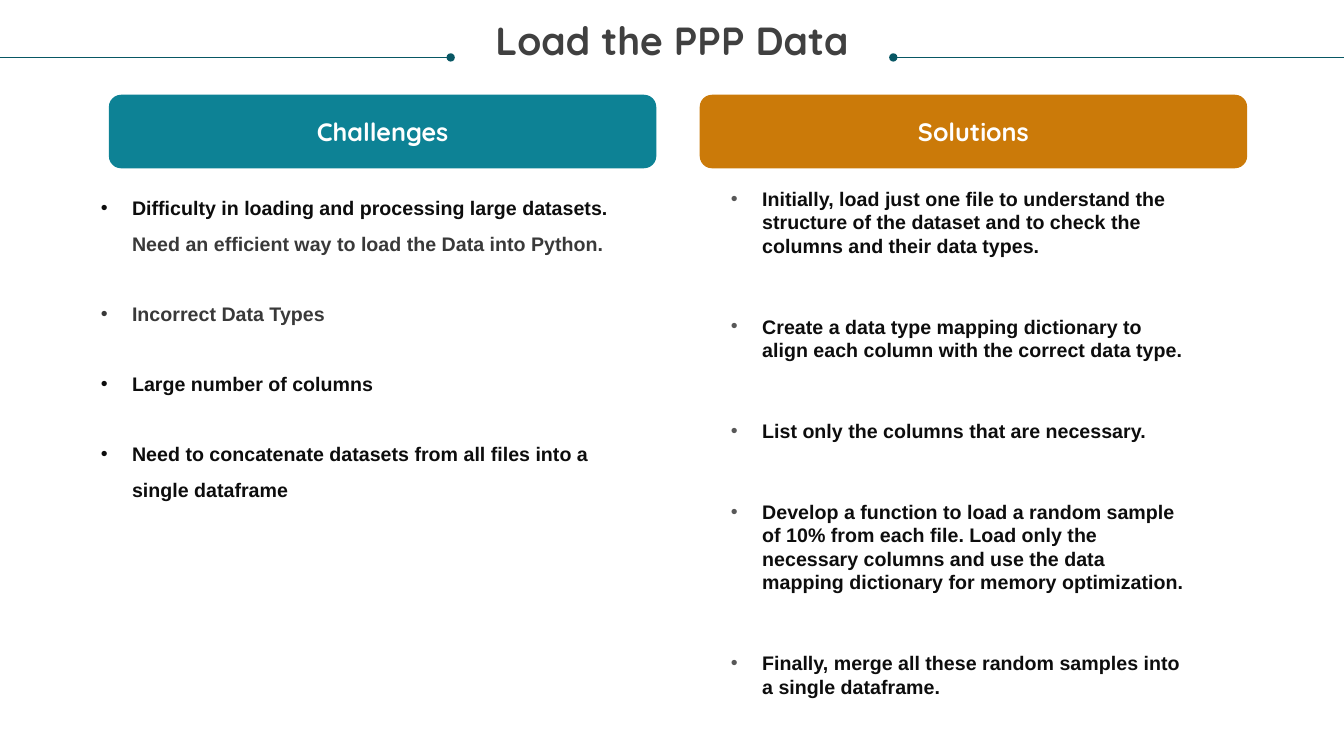
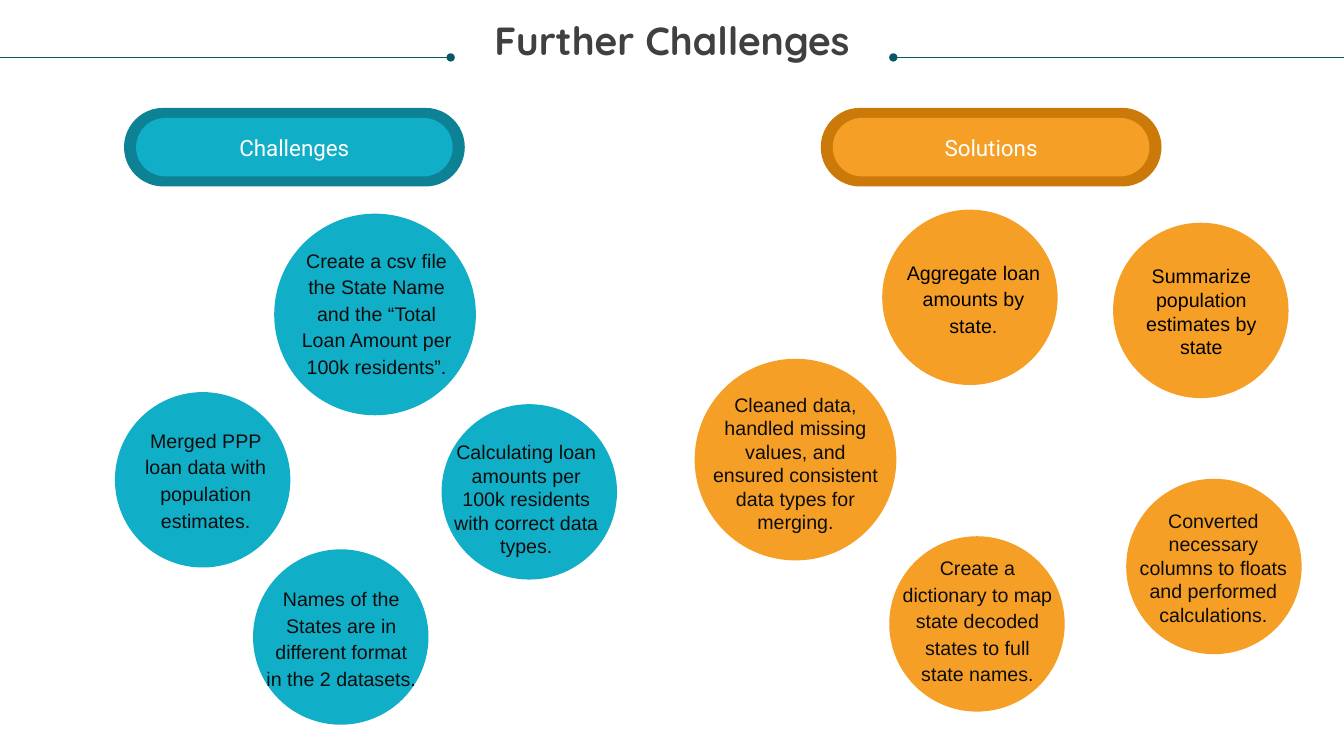
import pptx
import pptx.util
import pptx.dml.color
import pptx.enum.shapes
import pptx.enum.text
import pptx.oxml.ns
import lxml.etree

RGBColor = pptx.dml.color.RGBColor
Shape = pptx.enum.shapes.MSO_SHAPE
Anchor = pptx.enum.text.MSO_ANCHOR
Align = pptx.enum.text.PP_ALIGN
Pt = pptx.util.Pt
qn = pptx.oxml.ns.qn

PX_PER_INCH = 100
SLIDE_WIDTH, SLIDE_HEIGHT = 1333, 750

TEAL = RGBColor(0x11, 0xAE, 0xC7)
DARK_TEAL = RGBColor(0x0D, 0x82, 0x95)
ORANGE = RGBColor(0xF5, 0x9F, 0x26)
DARK_ORANGE = RGBColor(0xCB, 0x7A, 0x09)
RULE_COLOUR = RGBColor(0x08, 0x57, 0x64)
TITLE_GREY = RGBColor(0x40, 0x40, 0x40)
TEXT_GREY = RGBColor(0x39, 0x39, 0x39)
BULLET_GREY = RGBColor(0x58, 0x58, 0x58)
INK = RGBColor(0x0D, 0x0D, 0x0D)
BLACK = RGBColor(0, 0, 0)
WHITE = RGBColor(0xFF, 0xFF, 0xFF)

TITLE_AREA = (25, 21, 1283, 73)
RULE_Y = 57
RULES = [(447, 0), (886, SLIDE_WIDTH)]

HEADERS = [("Challenges", 108, DARK_TEAL), ("Solutions", 694, DARK_ORANGE)]

CHALLENGES = [
    [("Difficulty in loading and processing large datasets.", INK),
     (" Need an efficient way to load the Data into Python.", TEXT_GREY)],
    [("Incorrect Data Types", TEXT_GREY)],
    [("Large number of columns", INK)],
    [("Need to concatenate datasets from all files into a single dataframe", INK)],
]
SOLUTIONS = [
    [("Initially, load just one file to understand the structure of the dataset "
      "and to check the columns and their data types.", INK)],
    [("Create a data type mapping dictionary to align each column with the "
      "correct data type.", INK)],
    [("List only the columns that are necessary.", INK)],
    [("Develop a function to load a random sample of 10% from each file. Load only "
      "the necessary columns and use the data mapping dictionary for memory "
      "optimization.", INK)],
    [("Finally, merge all these random samples into a single dataframe.", INK)],
]
BULLET_LISTS = [
    dict(items=CHALLENGES, area=(100, 183, 508, 349), spacing=1.5, gap=25,
         bullet_colour=None),
    dict(items=SOLUTIONS, area=(725, 185, 455, 520), spacing=1.0, gap=41,
         bullet_colour=BULLET_GREY),
]

PILLS = [("Challenges", 123, DARK_TEAL, TEAL), ("Solutions", 814, DARK_ORANGE, ORANGE)]
PILL_TOP, PILL_WIDTH, PILL_HEIGHT = 107, 338, 78
PILL_RIM_X, PILL_RIM_Y = 12, 10

LARGE, SMALL = 200, 174
LOOSE, SINGLE = Pt(19), 1.0
BUBBLES = [
    ("Create a csv file the State Name and the “Total Loan Amount per 100k residents”.",
     TEAL, (272, 212, LARGE), (299, 244, 149, 131), LOOSE, INK),
    ("Merged PPP loan data with population estimates.",
     TEAL, (114, 389, SMALL), (129, 423, 150, 104), LOOSE, INK),
    ("Calculating loan amounts per 100k residents with correct data types.",
     TEAL, (438, 401, SMALL), (447, 436, 150, 118), SINGLE, INK),
    ("Names of the States are in different format in the 2 datasets.",
     TEAL, (251, 545, SMALL), (264, 580, 149, 104), LOOSE, INK),
    ("Aggregate loan amounts by state.",
     ORANGE, (875, 208, SMALL), (891, 256, 149, 78), LOOSE, BLACK),
    ("Summarize population estimates by state",
     ORANGE, (1104, 221, SMALL), (1117, 262, 149, 94), SINGLE, BLACK),
    ("Cleaned data, handled missing values, and ensured consistent data types for merging.",
     ORANGE, (689, 356, LARGE), (702, 389, 174, 141), SINGLE, INK),
    ("Create a dictionary to map state decoded states to full state names.",
     ORANGE, (882, 532, SMALL), (895, 549, 149, 131), LOOSE, INK),
    ("Converted necessary columns to floats and performed calculations.",
     ORANGE, (1117, 475, SMALL), (1129, 504, 149, 118), SINGLE, INK),
]


def px(value):
    return pptx.util.Emu(value * 914400 // PX_PER_INCH)


def place(area):
    return [px(value) for value in area]


def style_font(font, name, size, colour, bold=False):
    font.name, font.size, font.bold = name, Pt(size), bold
    font.color.rgb = colour


def prepare_frame(frame, anchor):
    frame.word_wrap = True
    frame.auto_size = pptx.enum.text.MSO_AUTO_SIZE.NONE
    frame.vertical_anchor = anchor
    frame.margin_left = frame.margin_top = frame.margin_right = frame.margin_bottom = 0


def add_block(page, kind, area, fill, corner=None):
    block = page.shapes.add_shape(kind, *place(area))
    block.shadow.inherit = False
    block.fill.solid()
    block.fill.fore_color.rgb = fill
    block.line.fill.background()
    if corner is not None:
        block.adjustments[0] = corner
    return block


def label_block(block, text, name, size, bold=False):
    block.text_frame.vertical_anchor = Anchor.MIDDLE
    para = block.text_frame.paragraphs[0]
    para.text = text
    para.alignment = Align.CENTER
    style_font(para.font, name, size, WHITE, bold)


def add_rule(page, inner, outer):
    rule = page.shapes.add_connector(
        pptx.enum.shapes.MSO_CONNECTOR.STRAIGHT,
        px(inner), px(RULE_Y), px(outer), px(RULE_Y))
    rule.line.width = Pt(0.5)
    rule.line.color.rgb = RULE_COLOUR
    properties = rule._element.spPr
    lxml.etree.SubElement(properties.find(qn("a:ln")), qn("a:headEnd"), type="oval")
    lxml.etree.SubElement(properties, qn("a:effectLst"))


def add_page(deck, heading):
    page = deck.slides.add_slide(deck.slide_layouts[5])
    title = page.shapes.title
    title.left, title.top, title.width, title.height = place(TITLE_AREA)
    prepare_frame(title.text_frame, Anchor.TOP)
    para = title.text_frame.paragraphs[0]
    para.text = heading
    para.alignment = Align.CENTER
    para.line_spacing = 0.9
    style_font(para.font, "Quicksand", 28, TITLE_GREY, True)
    for inner, outer in RULES:
        add_rule(page, inner, outer)
    return page


def add_bullet(para, colour):
    properties = para._p.get_or_add_pPr()
    properties.set("marL", str(px(31)))
    properties.set("indent", str(-px(31)))
    if colour is not None:
        holder = lxml.etree.SubElement(properties, qn("a:buClr"))
        lxml.etree.SubElement(holder, qn("a:srgbClr"), val=str(colour))
    lxml.etree.SubElement(properties, qn("a:buFont"), typeface="Arial")
    lxml.etree.SubElement(properties, qn("a:buChar"), char="•")


def add_bullet_list(page, items, area, spacing, gap, bullet_colour):
    frame = page.shapes.add_textbox(*place(area)).text_frame
    prepare_frame(frame, Anchor.TOP)
    for index, spans in enumerate(items):
        para = frame.add_paragraph() if index else frame.paragraphs[0]
        add_bullet(para, bullet_colour)
        para.line_spacing = spacing
        para.space_before = Pt(gap if index else 0)
        style_font(para.font, "Arial", 14, spans[0][1], True)
        for text, colour in spans:
            span = para.add_run()
            span.text = text
            if colour != spans[0][1]:
                span.font.color.rgb = colour


def add_pill(page, text, left, rim, fill):
    add_block(page, Shape.ROUNDED_RECTANGLE,
              (left, PILL_TOP, PILL_WIDTH, PILL_HEIGHT), rim, 0.5)
    inside = (left + PILL_RIM_X, PILL_TOP + PILL_RIM_Y,
              PILL_WIDTH - 2 * PILL_RIM_X, PILL_HEIGHT - 2 * PILL_RIM_Y)
    label_block(add_block(page, Shape.ROUNDED_RECTANGLE, inside, fill, 0.5),
                text, "Roboto", 16)


def add_bubble(page, text, fill, circle, area, spacing, colour):
    left, top, diameter = circle
    add_block(page, Shape.OVAL, (left, top, diameter, diameter), fill)
    frame = page.shapes.add_textbox(*place(area)).text_frame
    prepare_frame(frame, Anchor.MIDDLE)
    para = frame.paragraphs[0]
    para.text = text
    para.alignment = Align.CENTER
    para.line_spacing = spacing
    style_font(para.font, "Arial", 14, colour)


def main():
    deck = pptx.Presentation()
    deck.slide_width, deck.slide_height = px(SLIDE_WIDTH), px(SLIDE_HEIGHT)

    page = add_page(deck, "Load the PPP Data")
    for text, left, fill in HEADERS:
        header = add_block(page, Shape.ROUNDED_RECTANGLE, (left, 94, 543, 73), fill)
        label_block(header, text, "Quicksand", 18, True)
    for bullet_list in BULLET_LISTS:
        add_bullet_list(page, **bullet_list)

    page = add_page(deck, "Further Challenges")
    for pill in PILLS:
        add_pill(page, *pill)
    for bubble in BUBBLES:
        add_bubble(page, *bubble)

    deck.save("out.pptx")


if __name__ == "__main__":
    main()
